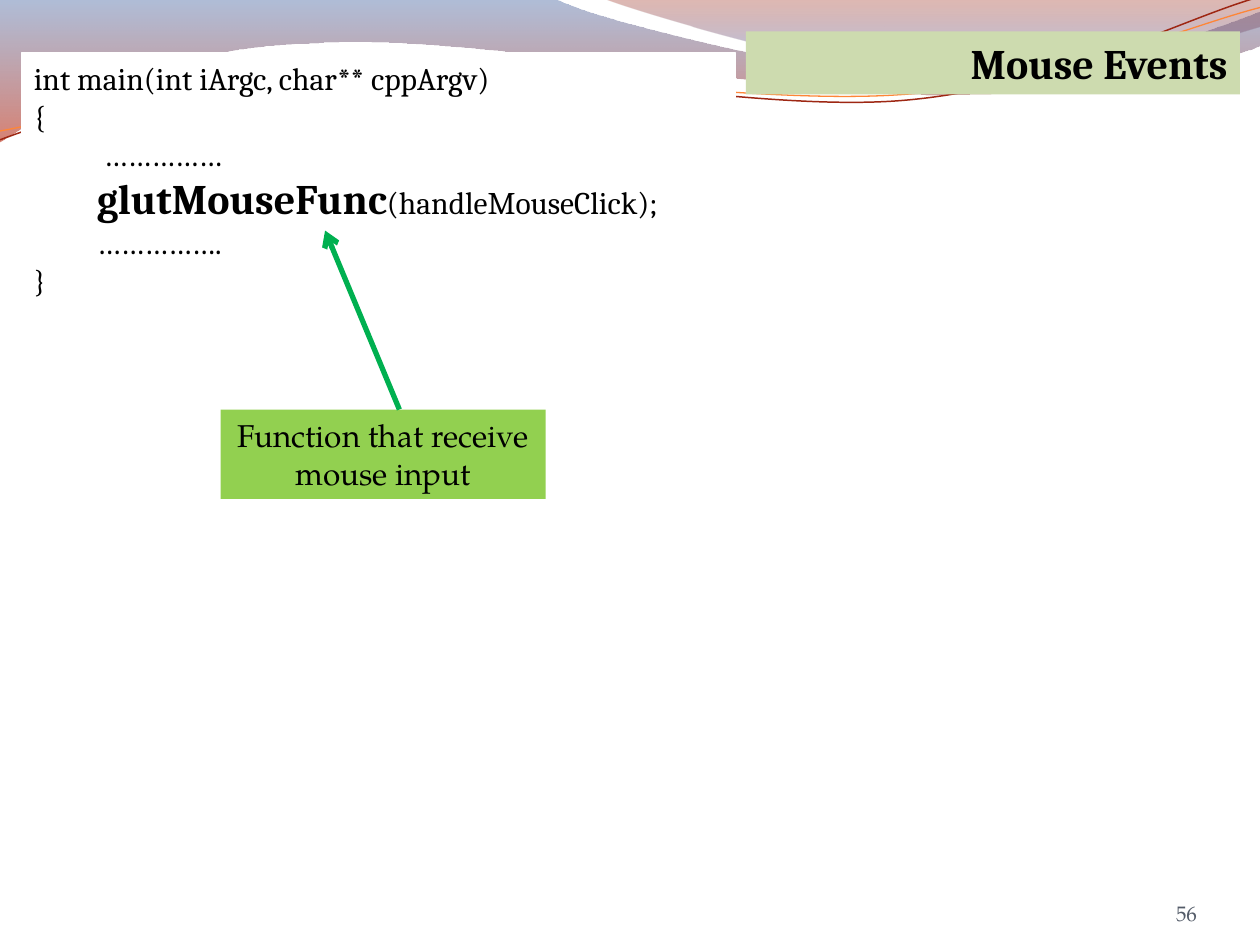
"""Builds the Mouse Events slide: a waved header, a code listing and a callout."""
from math import cos, radians, sin

from lxml import etree
from pptx import Presentation
from pptx.dml.color import RGBColor
from pptx.enum.shapes import MSO_CONNECTOR, MSO_SHAPE
from pptx.enum.text import MSO_ANCHOR, PP_ALIGN
from pptx.oxml.ns import qn
from pptx.util import Inches, Pt

WIDTH, HEIGHT = 10, 7.5
STRAND_TILT = -2.7
CODE_FONT, TEXT_FONT = "Cambria", "TeX Gyre Pagella"

BLACK = RGBColor(0x00, 0x00, 0x00)
WHITE = RGBColor(0xFF, 0xFF, 0xFF)
GREY = RGBColor(0x53, 0x5B, 0x68)
SAGE = RGBColor(0xCD, 0xDB, 0xAF)
LIME = RGBColor(0x92, 0xD0, 0x50)
GREEN = RGBColor(0x00, 0xB0, 0x50)
DARK_RED = RGBColor(0x9E, 0x27, 0x13)
ORANGE = RGBColor(0xFE, 0x86, 0x37)

BANDS = [
    ([(0, 0), (4.4, -0.01),
      (4.76, 0.17, 6.64, 0.63, 7.58, 0.63), (8.53, 0.63, 9.58, 0.26, 10, 0.09),
      (10.01, 0.36),
      (9.83, 0.44, 8.7, 0.76, 7.46, 0.75), (6.22, 0.75, 3.82, 0.28, 2.57, 0.34),
      (1.29, 0.36, 0.46, 0.83, -0.01, 1.13), (0, 0)],
     [(0, RGBColor(0x4F, 0x6E, 0xA8), 45), (1, RGBColor(0xB6, 0x1A, 0x00), 55)]),
    ([(4.79, -0.01),
      (5.09, 0.11, 6.82, 0.62, 7.69, 0.65), (8.56, 0.69, 9.61, 0.32, 10, 0.21),
      (10, 0), (4.79, -0.01)],
     [(0, RGBColor(0x95, 0x15, 0x00), 30), (0.8, RGBColor(0x56, 0x81, 0xD1), 45)]),
]
STRANDS = [
    ([(0, 1.11), (0.48, 0.93, 1.58, 0.57, 2.77, 0.52),
      (3.95, 0.47, 5.93, 0.89, 7.13, 0.8), (8.33, 0.71, 9.38, 0.15, 9.98, -0.02)],
     (4.99, 0.57), DARK_RED, 0.85),
    ([(0, 1.04), (0.47, 0.96, 1.64, 0.61, 2.83, 0.56),
      (4.03, 0.51, 5.97, 0.84, 7.17, 0.75), (8.36, 0.67, 9.41, 0.21, 10, 0.06)],
     (5, 0.59), ORANGE, 0.75),
]
CODE_LINES = [
    (0, [("int main(int iArgc, char** cppArgv)", 18, False)]),
    (0, [("{", 18, False)]),
    (0.5, [(" ……………", 18, False)]),
    (0.5, [("glutMouseFunc", 24, True), ("(handleMouseClick);", 18, False)]),
    (0.5, [("…………….", 18, False)]),
    (0, [("}", 18, False)]),
]
TITLE = [(0, [("Mouse Events", 24, True)])]
CALLOUT = [(0, [("Function that receive mouse input", 18, False)])]
PAGE_NUMBER = [(0, [("56", 12, False)])]


def pairs(segment):
    """Splits a flat segment into its points."""
    return list(zip(segment[::2], segment[1::2]))


def level(segment, pivot):
    """Turns a segment back by the strand tilt around a pivot."""
    angle = radians(-STRAND_TILT)
    turned = []
    for x, y in pairs(segment):
        across, down = x - pivot[0], y - pivot[1]
        turned += [pivot[0] + across * cos(angle) - down * sin(angle),
                   pivot[1] + across * sin(angle) + down * cos(angle)]
    return turned


def add_outline(page, segments, close):
    """Draws an outline whose long segments are cubic curves."""
    ends = [tuple(Inches(value) for value in segment[-2:]) for segment in segments]
    builder = page.shapes.build_freeform(*ends[0])
    builder.add_line_segments(ends[1:], close=close)
    shape = builder.convert_to_shape()
    shape.shadow.inherit = False
    sides = list(shape._element.spPr.iter(qn("a:lnTo")))
    for side, segment in zip(sides, segments[1:]):
        if len(segment) == 6:
            curve = etree.Element(qn("a:cubicBezTo"))
            for x, y in pairs(segment):
                etree.SubElement(curve, qn("a:pt"), x=str(Inches(x) - shape.left),
                                 y=str(Inches(y) - shape.top))
            side.getparent().replace(side, curve)
    return shape


def add_band(page, segments, stops):
    """Draws a closed wave with a see-through top-to-bottom gradient."""
    band = add_outline(page, segments, True)
    band.line.fill.background()
    band.fill.gradient()
    band.fill.gradient_angle = 270
    for stop, (position, color, _) in zip(band.fill.gradient_stops, stops):
        stop.position = position
        stop.color.rgb = color
    for node, (_, _, opacity) in zip(band._element.spPr.iter(qn("a:srgbClr")), stops):
        etree.SubElement(node, qn("a:alpha"), val=str(opacity * 1000))


def add_strand(page, segments, pivot, color, weight):
    """Draws an open, tilted wave line."""
    strand = add_outline(page, [level(segment, pivot) for segment in segments], False)
    strand.rotation = STRAND_TILT
    strand.fill.background()
    strand.line.color.rgb = color
    strand.line.width = Pt(weight)


def write(shape, lines, font, color, align, anchor=MSO_ANCHOR.TOP):
    """Fills a shape with indented lines of styled spans."""
    frame = shape.text_frame
    frame.word_wrap = True
    frame.vertical_anchor = anchor
    for index, (indent, spans) in enumerate(lines):
        para = frame.add_paragraph() if index else frame.paragraphs[0]
        para.alignment = align
        if indent:
            para._p.get_or_add_pPr().set("marL", str(Inches(indent)))
        para.font.name = font
        para.font.color.rgb = color
        for text, size, bold in spans:
            span = para.add_run()
            span.text = text
            span.font.size = Pt(size)
            span.font.bold = bold
    return frame


def add_panel(page, place, fill, lines, font, align, border=None):
    """Adds a filled rectangle holding text."""
    panel = page.shapes.add_shape(MSO_SHAPE.RECTANGLE, *map(Inches, place))
    panel.shadow.inherit = False
    panel.fill.solid()
    panel.fill.fore_color.rgb = fill
    if border is None:
        panel.line.fill.background()
    else:
        panel.line.color.rgb = border
        panel.line.width = Pt(0.75)
    write(panel, lines, font, BLACK, align)


def add_arrow(page, start, end, color, weight):
    """Adds a straight arrow pointing at its end."""
    ends = [Inches(value) for value in (*start, *end)]
    arrow = page.shapes.add_connector(MSO_CONNECTOR.STRAIGHT, *ends)
    arrow.line.color.rgb = color
    arrow.line.width = Pt(weight)
    etree.SubElement(arrow.line._get_or_add_ln(), qn("a:tailEnd"), type="arrow")
    etree.SubElement(arrow._element.spPr, qn("a:effectLst"))


def main():
    """Builds and saves the deck."""
    deck = Presentation()
    deck.slide_width, deck.slide_height = Inches(WIDTH), Inches(HEIGHT)
    page = deck.slides.add_slide(deck.slide_layouts[6])
    for band in BANDS:
        add_band(page, *band)
    for strand in STRANDS:
        add_strand(page, *strand)
    box = page.shapes.add_textbox(*map(Inches, (8.67, 6.95, 0.83, 0.4)))
    frame = write(box, PAGE_NUMBER, TEXT_FONT, GREY, PP_ALIGN.RIGHT, MSO_ANCHOR.BOTTOM)
    frame.margin_left = frame.margin_right = 0
    frame.margin_top = frame.margin_bottom = 0
    add_panel(page, (0.17, 0.42, 5.67, 2.02), WHITE, CODE_LINES, CODE_FONT,
              PP_ALIGN.LEFT, WHITE)
    add_panel(page, (5.92, 0.25, 3.92, 0.5), SAGE, TITLE, CODE_FONT, PP_ALIGN.RIGHT)
    add_panel(page, (1.75, 3.25, 2.58, 0.71), LIME, CALLOUT, TEXT_FONT, PP_ALIGN.CENTER)
    add_arrow(page, (3.17, 3.25), (2.58, 1.83), GREEN, 3)
    deck.save("out.pptx")


if __name__ == "__main__":
    main()
